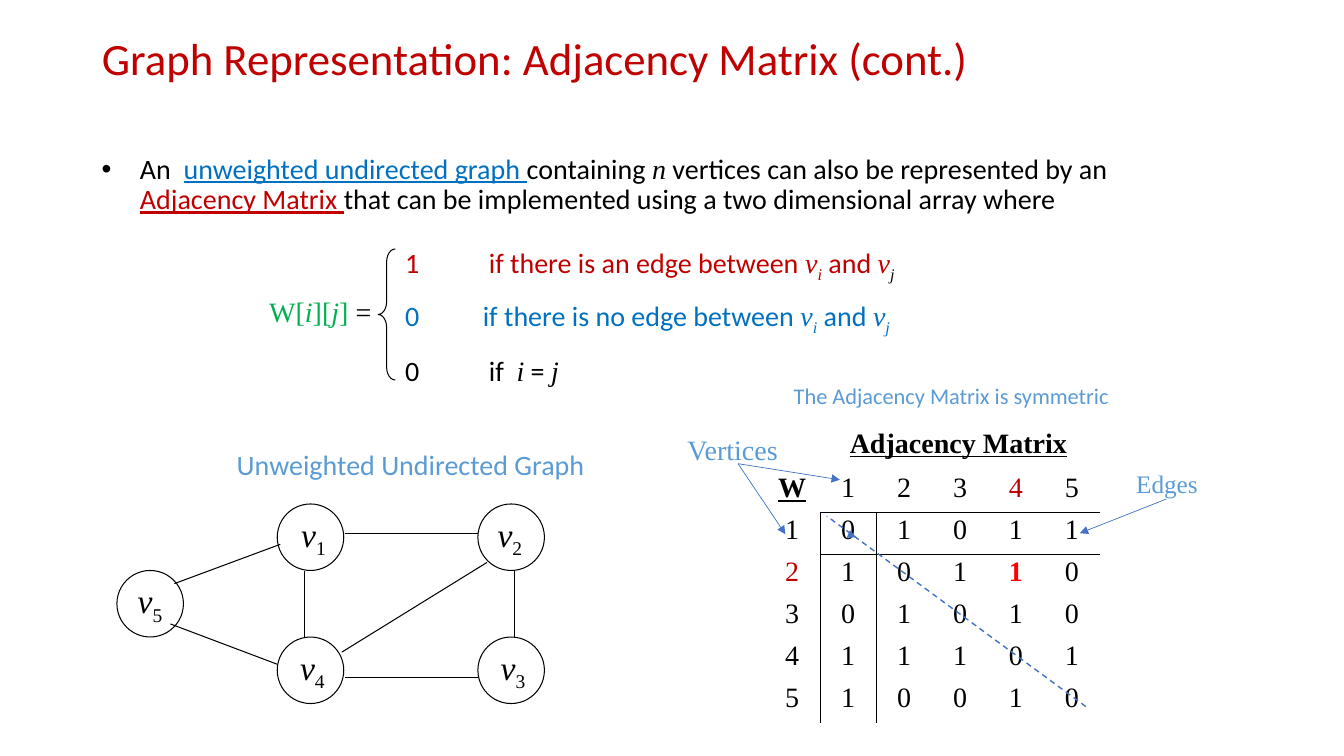
from dataclasses import dataclass

from lxml import etree
from pptx import Presentation
from pptx.dml.color import RGBColor
from pptx.enum.dml import MSO_LINE
from pptx.enum.shapes import MSO_CONNECTOR, MSO_SHAPE
from pptx.enum.text import MSO_ANCHOR, PP_ALIGN
from pptx.oxml.ns import qn
from pptx.util import Emu, Pt

STRAIGHT = MSO_CONNECTOR.STRAIGHT
OVAL = MSO_SHAPE.OVAL
LEFT_BRACE = MSO_SHAPE.LEFT_BRACE
DASH = MSO_LINE.DASH
LEFT, CENTER = PP_ALIGN.LEFT, PP_ALIGN.CENTER
TOP, MIDDLE = MSO_ANCHOR.TOP, MSO_ANCHOR.MIDDLE
CALIBRI, TIMES = "Calibri", "Times New Roman"
BLACK, WHITE, RED, BRIGHT_RED = "000000", "FFFFFF", "C00000", "FF0000"
BLUE, GREEN, SKY, ARROW_BLUE = "0070C0", "00B050", "5B9BD5", "4472C4"
NO_GRID_STYLE = "{2D5ABB26-0587-4C30-8999-92F81FD0307C}"
EMU_PER_PX = 9144


@dataclass(frozen=True)
class Run:
    text: str
    color: str = BLACK
    font: str = CALIBRI
    italic: bool = False
    underline: bool = False
    subscript: bool = False


@dataclass(frozen=True)
class Label:
    text: str
    box: tuple[int, int, int, int]
    size: int
    color: str
    font: str = CALIBRI
    strong: bool = False
    align: PP_ALIGN = LEFT
    wrap: bool = False


@dataclass(frozen=True)
class Case:
    tab: int
    space_before: int
    runs: list[Run]


@dataclass(frozen=True)
class Vertex:
    number: str
    left: int
    top: int
    inset: int


@dataclass(frozen=True)
class Line:
    start: tuple[int, int]
    end: tuple[int, int]
    color: str = BLACK
    width: float = 0.75
    arrow: bool = False
    dashed: bool = False


def px(*lengths: int) -> list[Emu]:
    return [Emu(length * EMU_PER_PX) for length in lengths]


def rgb(color: str) -> RGBColor:
    return RGBColor.from_string(color)


def style_font(font, color: str, name: str) -> None:
    font.name = name
    font.color.rgb = rgb(color)


def add_runs(paragraph, runs: list[Run], size: int) -> None:
    paragraph.font.size = Pt(size)
    for item in runs:
        run = paragraph.add_run()
        run.text = item.text
        style_font(run.font, item.color, item.font)
        run.font.italic = item.italic
        run.font.underline = item.underline
        if item.subscript:
            run.font._element.set("baseline", "-25000")


def add_box(shapes, box: tuple[int, int, int, int], wrap: bool = True):
    frame = shapes.add_textbox(*px(*box)).text_frame
    frame.word_wrap = wrap
    return frame


def add_label(shapes, label: Label) -> None:
    paragraph = add_box(shapes, label.box, label.wrap).paragraphs[0]
    paragraph.text = label.text
    paragraph.alignment = label.align
    paragraph.font.size = Pt(label.size)
    paragraph.font.bold = label.strong
    paragraph.font.underline = label.strong
    style_font(paragraph.font, label.color, label.font)


def add_bullet(paragraph, indent: int) -> None:
    properties = paragraph._p.get_or_add_pPr()
    properties.set("marL", str(px(indent)[0]))
    properties.set("indent", str(px(-indent)[0]))
    etree.SubElement(properties, qn("a:buFont"), typeface="Arial")
    etree.SubElement(properties, qn("a:buChar"), char="•")


def add_tab(paragraph, position: int) -> None:
    tabs = etree.SubElement(paragraph._p.get_or_add_pPr(), qn("a:tabLst"))
    etree.SubElement(tabs, qn("a:tab"), pos=str(px(position)[0]), algn="l")


def add_line(shapes, line: Line) -> None:
    connector = shapes.add_connector(STRAIGHT, *px(*line.start, *line.end))
    connector.line.color.rgb = rgb(line.color)
    connector.line.width = Pt(line.width)
    if line.dashed:
        connector.line.dash_style = DASH
    if line.arrow:
        etree.SubElement(connector.line._get_or_add_ln(), qn("a:tailEnd"), type="triangle")
    etree.SubElement(connector._element.spPr, qn("a:effectLst"))


def add_outline(shapes, kind: MSO_SHAPE, box: tuple[int, int, int, int]):
    shape = shapes.add_shape(kind, *px(*box))
    shape.shadow.inherit = False
    shape.line.color.rgb = rgb(BLACK)
    shape.line.width = Pt(0.75)
    shape.fill.background()
    return shape


def add_vertex(shapes, vertex: Vertex) -> None:
    shape = add_outline(shapes, OVAL, (vertex.left, vertex.top, 66, 66))
    shape.fill.solid()
    shape.fill.fore_color.rgb = rgb(WHITE)
    frame = shape.text_frame
    frame.vertical_anchor = TOP
    frame.margin_left, frame.margin_top, frame.margin_right, frame.margin_bottom = px(vertex.inset, 0, 0, 5)
    frame.paragraphs[0].alignment = LEFT
    add_runs(frame.paragraphs[0], [Run("v", font=TIMES, italic=True),
                                   Run(vertex.number, font=TIMES, subscript=True)], 24)


def add_border(cell, side: str) -> None:
    border = etree.SubElement(cell._tc.get_or_add_tcPr(), qn(f"a:{side}"), w=str(Pt(1)))
    fill = etree.SubElement(border, qn("a:solidFill"))
    etree.SubElement(fill, qn("a:srgbClr"), val=BLACK)


def add_matrix(shapes, rows: list[str], colors: dict[tuple[int, int], str], strong: set[tuple[int, int]]) -> None:
    count = len(rows)
    graphic = shapes.add_table(count, count, *px(758, 467, 333, 250))
    table = graphic.table
    table.first_row = table.horz_banding = False
    next(graphic._element.iter(qn("a:tableStyleId"))).text = NO_GRID_STYLE
    for row, values in enumerate(rows):
        for column, value in enumerate(values):
            cell = table.cell(row, column)
            cell.margin_left = cell.margin_right = px(4)[0]
            cell.margin_top = cell.margin_bottom = px(2)[0]
            sides = {"lnL": row and column == 1, "lnR": row and column == 0,
                     "lnT": column and row == 1, "lnB": column and row == 0}
            for side, shown in sides.items():
                if shown:
                    add_border(cell, side)
            cell.fill.background()
            paragraph = cell.text_frame.paragraphs[0]
            paragraph.text = value
            paragraph.alignment = CENTER
            font = paragraph.font
            font.size = Pt(20)
            font.bold = (row, column) in strong
            font.underline = row == column == 0
            style_font(font, colors.get((row, column), BLACK), TIMES)


def edge_case(value: str, condition: str, color: str, last_color: str) -> list[Run]:
    return [Run(f"{value}\t{condition} between ", color), Run("v", color, TIMES, True),
            Run("i", color, TIMES, True, subscript=True), Run(" and ", color),
            Run("v", color, TIMES, True), Run("j", last_color, TIMES, True, subscript=True)]


TITLE = "Graph Representation: Adjacency Matrix (cont.)"
INTRODUCTION = [
    Run("An  "), Run("unweighted undirected graph ", BLUE, underline=True), Run("containing "),
    Run("n", font=TIMES, italic=True), Run(" vertices can also be represented by an "),
    Run("Adjacency Matrix ", RED, underline=True),
    Run("that can be implemented using a two dimensional array where")]
CASES = [
    Case(83, 0, edge_case("1", "if there is an edge", RED, BLACK)),
    Case(77, 10, edge_case("0", "if there is no edge", BLUE, BLUE)),
    Case(83, 12, [Run("0\tif  "), Run("i", font=TIMES, italic=True), Run(" = "),
                  Run("j", font=TIMES, italic=True)])]
ENTRY = [Run("W[", GREEN, TIMES), Run("i", GREEN, TIMES, True), Run("][", GREEN, TIMES),
         Run("j", GREEN, TIMES, True), Run("] ", GREEN, TIMES), Run("=", font=TIMES)]
MATRIX = ["W12345", "101011", "210110", "301010", "411101", "510010"]
MATRIX_COLORS = {(0, 4): RED, (2, 0): RED, (2, 4): BRIGHT_RED}
LABELS = [
    Label("Adjacency Matrix", (833, 417, 237, 44), 20, BLACK, TIMES, strong=True),
    Label("Vertices", (672, 424, 110, 44), 20, SKY, TIMES),
    Label("Edges", (1117, 460, 82, 40), 18, SKY, TIMES),
    Label("The Adjacency Matrix is symmetric", (712, 374, 463, 37), 16, SKY, align=CENTER, wrap=True),
    Label("Unweighted Undirected Graph", (225, 439, 366, 44), 20, SKY)]
VERTICES = [Vertex("1", 275, 500, 14), Vertex("2", 474, 500, 10), Vertex("4", 275, 632, 13),
            Vertex("3", 474, 632, 13), Vertex("5", 116, 566, 11)]
EDGES = [Line((173, 579), (278, 540)), Line((339, 647), (483, 558)), Line((302, 566), (302, 632)),
         Line((510, 566), (510, 632)), Line((342, 672), (474, 672)), Line((342, 529), (474, 529)),
         Line((169, 619), (275, 659))]
POINTERS = [Line(start, end, ARROW_BLUE, 0.5, arrow=True) for start, end in [
    ((732, 460), (833, 476)), ((732, 460), (779, 530)), ((1157, 495), (1071, 529)), ((842, 530), (849, 533))]]
DIAGONAL = Line((1077, 701), (820, 512), ARROW_BLUE, 1, dashed=True)


def main() -> None:
    presentation = Presentation()
    presentation.slide_width, presentation.slide_height = px(1333, 750)
    slide = presentation.slides.add_slide(presentation.slide_layouts.get_by_name("Title Only"))
    shapes = slide.shapes

    title = shapes.title
    title.left, title.top, title.width, title.height = px(91, 15, 1155, 92)
    title.text_frame.text = TITLE
    title.text_frame.vertical_anchor = MIDDLE
    heading = title.text_frame.paragraphs[0]
    heading.alignment = LEFT
    heading.line_spacing = 0.9
    heading.font.size = Pt(32)
    style_font(heading.font, RED, CALIBRI)

    introduction = add_box(shapes, (91, 149, 1134, 80)).paragraphs[0]
    add_bullet(introduction, 38)
    introduction.line_spacing = 0.9
    add_runs(introduction, INTRODUCTION, 20)

    cases = add_box(shapes, (392, 239, 525, 141))
    for index, case in enumerate(CASES):
        paragraph = cases.add_paragraph() if index else cases.paragraphs[0]
        add_tab(paragraph, case.tab)
        paragraph.space_before = Pt(case.space_before)
        add_runs(paragraph, case.runs, 20)

    entry = add_box(shapes, (257, 291, 142, 50)).paragraphs[0]
    entry.line_spacing = 0.9
    add_runs(entry, ENTRY, 20)
    brace = add_outline(shapes, LEFT_BRACE, (375, 247, 17, 130))
    brace.adjustments[0] = 0.75

    add_matrix(shapes, MATRIX, MATRIX_COLORS, {(0, 0), (2, 4)})
    for label in LABELS:
        add_label(shapes, label)

    graph = shapes.add_group_shape().shapes
    for vertex in VERTICES:
        add_vertex(graph, vertex)
    for edge in EDGES:
        add_line(graph, edge)
    for line in [*POINTERS, DIAGONAL]:
        add_line(shapes, line)

    presentation.save("out.pptx")


if __name__ == "__main__":
    main()
